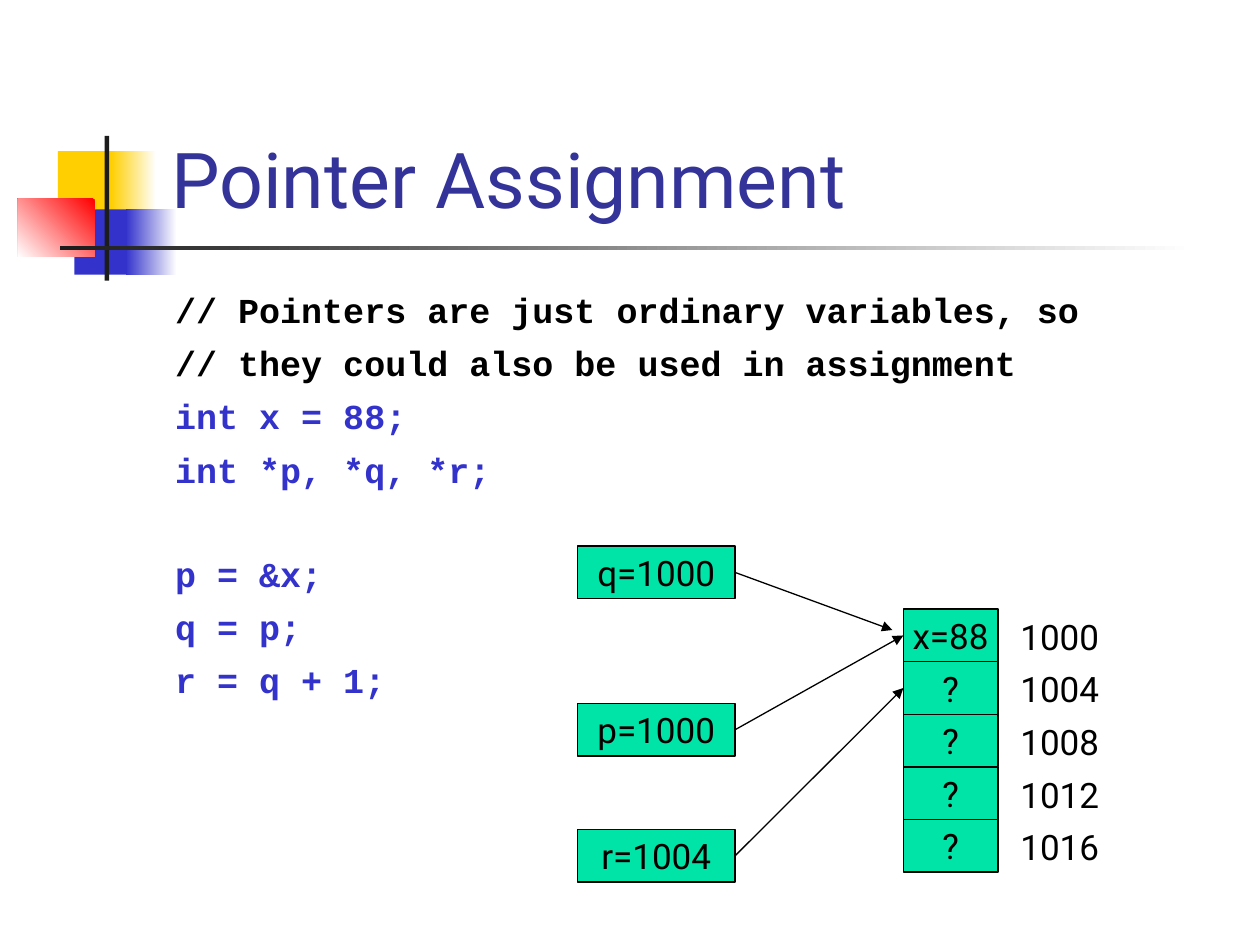
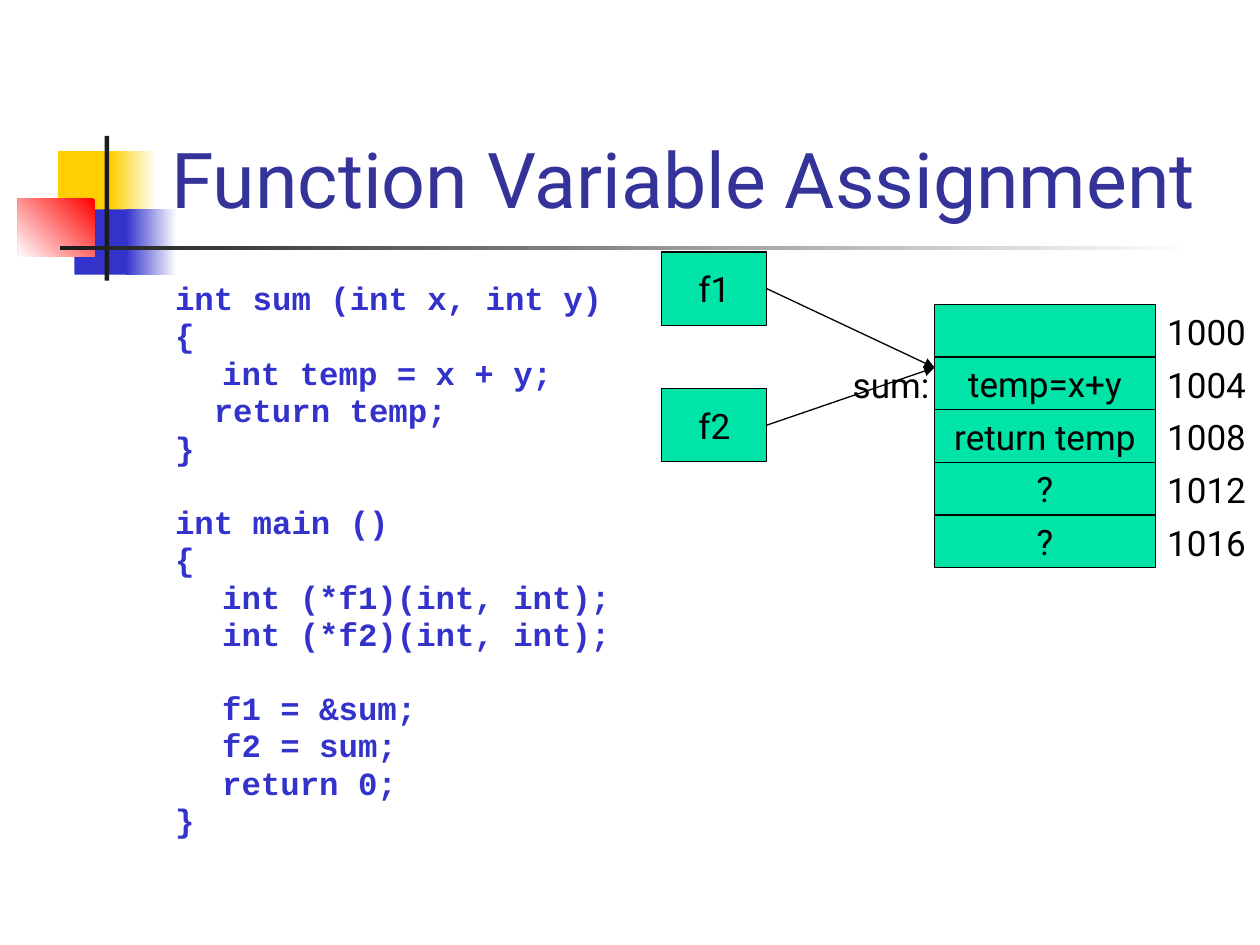
from dataclasses import dataclass

from lxml.etree import SubElement
from pptx import Presentation
from pptx.dml.color import RGBColor
from pptx.enum.shapes import MSO_CONNECTOR, MSO_SHAPE
from pptx.enum.text import MSO_ANCHOR, PP_ALIGN
from pptx.oxml.ns import qn
from pptx.util import Cm, Pt

LEFT_SIDE, RIGHT_SIDE = 1, 3


@dataclass(frozen=True)
class Theme:
    font: str = "Roboto"
    code_font: str = "Courier New"
    title_size: float = 44
    label_size: float = 20
    line_width: float = 0.75
    title: str = "333399"
    code: str = "3333CC"
    ink: str = "000000"
    paper: str = "FFFFFF"
    box: str = "00E4A8"
    yellow: str = "FFCF01"
    blue: str = "3333CC"
    red: str = "FF0000"
    dark: str = "1C1C1C"


THEME = Theme()
ROW_HEIGHT = 1.06
TAB = 0.95
TWO_LETTERS = 0.78
ADDRESSES = ["1000", "1004", "1008", "1012", "1016"]

# left, top, width, height in cm, then one colour or the two ends and angle of a fade
DECORATION = [
    ((1.17, 3.05, 1.22, 1.32), (THEME.yellow,)),
    ((2.24, 3.05, 0.91, 1.32), (THEME.paper, THEME.yellow, 180)),
    ((1.5, 4.22, 1.17, 1.32), (THEME.blue,)),
    ((2.54, 4.22, 1.02, 1.32), (THEME.paper, THEME.blue, 180)),
    ((0.36, 4.01, 1.55, 1.17), (THEME.red, THEME.paper, 225)),
    ((2.11, 2.74, 0.09, 2.92), (THEME.dark,)),
    ((1.22, 4.95, 22.86, 0.09), (THEME.paper, THEME.dark, 180)),
]

# Each block is a list of (text, indent in cm, colour)
POINTER_CODE = [
    [
        ("// Pointers are just ordinary variables, so", 0, THEME.ink),
        ("// they could also be used in assignment", 0, THEME.ink),
        ("int x = 88;", 0, THEME.code),
        ("int *p, *q, *r;", 0, THEME.code),
    ],
    [(text, 0, THEME.code) for text in ("p = &x;", "q = p;", "r = q + 1;")],
]
FUNCTION_CODE = [
    [
        ("int sum (int x, int y)", 0, THEME.code),
        ("{", 0, THEME.code),
        ("int temp = x + y;", TAB, THEME.code),
        ("return temp;", TWO_LETTERS, THEME.code),
        ("}", 0, THEME.code),
    ],
    [
        ("int main ()", 0, THEME.code),
        ("{", 0, THEME.code),
        ("int (*f1)(int, int);", TAB, THEME.code),
        ("int (*f2)(int, int);", TAB, THEME.code),
    ],
    [
        ("f1 = &sum;", TAB, THEME.code),
        ("f2 = sum;", TAB, THEME.code),
        ("return 0;", TAB, THEME.code),
        ("}", 0, THEME.code),
    ],
]


def set_values(target, values):
    for name, value in values.items():
        setattr(target, name, value)


def place(area):
    return [Cm(length) for length in area]


def write(paragraph, text, size, color=THEME.ink, font=THEME.font, bold=False):
    run = paragraph.add_run()
    run.text = text
    set_values(run.font, {"name": font, "size": Pt(size), "bold": bold})
    run.font.color.rgb = RGBColor.from_string(color)


def add_rectangle(slide, area, colors):
    """Add a borderless rectangle with a plain fill or a two-colour fade."""
    shape = slide.shapes.add_shape(MSO_SHAPE.RECTANGLE, *place(area))
    shape.shadow.inherit = False
    shape.line.fill.background()
    if len(colors) == 1:
        shape.fill.solid()
        shape.fill.fore_color.rgb = RGBColor.from_string(colors[0])
    else:
        *ends, angle = colors
        shape.fill.gradient()
        shape.fill.gradient_angle = angle
        for stop, color, position in zip(shape.fill.gradient_stops, ends, (0, 1)):
            stop.color.rgb = RGBColor.from_string(color)
            stop.position = position
    return shape


def add_text_frame(slide, area, **values):
    frame = slide.shapes.add_textbox(*place(area)).text_frame
    set_values(frame, {"word_wrap": True, **values})
    return frame


def add_titled_slide(presentation, title):
    slide = presentation.slides.add_slide(presentation.slide_layouts[6])
    for area, colors in DECORATION:
        add_rectangle(slide, area, colors)
    frame = add_text_frame(
        slide, (3.2, 0.58, 21.64, 4.06), vertical_anchor=MSO_ANCHOR.BOTTOM
    )
    write(frame.paragraphs[0], title, THEME.title_size, THEME.title)
    return slide


def add_code(slide, blocks, size, spacing, line_spacing, pitch):
    """Write blocks of code; one line of space parts each block from the last."""
    frame = add_text_frame(slide, (3.28, 5.69, 21.59, 11.43))
    paragraph = frame.paragraphs[0]
    for block_index, block in enumerate(blocks):
        for line_index, (text, indent, color) in enumerate(block):
            starts_block = line_index == 0 and block_index > 0
            if block_index or line_index:
                paragraph = frame.add_paragraph()
            before = spacing + pitch if starts_block else spacing
            set_values(
                paragraph,
                {"space_before": Pt(before), "line_spacing": line_spacing},
            )
            paragraph._p.get_or_add_pPr().set("marL", str(Cm(indent)))
            write(paragraph, text, size, color, THEME.code_font, bold=True)


def add_box(slide, area, text):
    shape = add_rectangle(slide, area, (THEME.box,))
    shape.line.color.rgb = RGBColor.from_string(THEME.ink)
    shape.line.width = Pt(THEME.line_width)
    if text:
        frame = shape.text_frame
        set_values(frame, {"word_wrap": False, "vertical_anchor": MSO_ANCHOR.MIDDLE})
        frame.paragraphs[0].alignment = PP_ALIGN.CENTER
        write(frame.paragraphs[0], text, THEME.label_size)
    return shape


def add_label(slide, left, top, width, text):
    frame = add_text_frame(slide, (left, top, width, 1.12), margin_right=0)
    write(frame.paragraphs[0], text, THEME.label_size)


def add_memory(slide, left, top, width, contents, label_left):
    """Stack one cell per value, with its address at the right."""
    cells = []
    for row, (text, address) in enumerate(zip(contents, ADDRESSES)):
        row_top = top + row * ROW_HEIGHT
        cells.append(add_box(slide, (left, row_top, width, ROW_HEIGHT), text))
        add_label(slide, label_left, row_top, 2.12, address)
    return cells


def add_arrow(slide, source, target=None, point=(0, 0)):
    """Draw an arrow from a box to the left side of a cell, or to a point in cm."""
    end_x, end_y = place(point)
    connector = slide.shapes.add_connector(
        MSO_CONNECTOR.STRAIGHT, source.left, source.top, end_x, end_y
    )
    connector.begin_connect(source, RIGHT_SIDE)
    if target is not None:
        connector.end_connect(target, LEFT_SIDE)
    connector.line.color.rgb = RGBColor.from_string(THEME.ink)
    connector.line.width = Pt(THEME.line_width)
    SubElement(connector.line._get_or_add_ln(), qn("a:tailEnd"), type="triangle")
    SubElement(connector._element.spPr, qn("a:effectLst"))


def build_pointer_slide(presentation):
    slide = add_titled_slide(presentation, "Pointer Assignment")
    add_code(slide, POINTER_CODE, size=20, spacing=6.4, line_spacing=1.0, pitch=29)
    cells = add_memory(slide, 18.21, 12.28, 1.91, ["x=88", "?", "?", "?", "?"], 20.32)
    pointers = [
        ("q=1000", 11.01, {"point": (17.99, 12.7)}),
        ("p=1000", 14.18, {"target": cells[0]}),
        ("r=1004", 16.72, {"target": cells[1]}),
    ]
    for text, top, goal in pointers:
        box = add_box(slide, (11.64, top, 3.18, ROW_HEIGHT), text)
        add_arrow(slide, box, **goal)


def build_function_slide(presentation):
    slide = add_titled_slide(presentation, "Function Variable Assignment")
    add_code(
        slide, FUNCTION_CODE, size=18.5, spacing=5.9, line_spacing=0.7, pitch=20.6
    )
    memory_left, memory_top = 18.84, 6.14
    contents = ["", "temp=x+y", "return temp", "?", "?"]
    add_memory(slide, memory_left, memory_top, 4.45, contents, 23.28)
    add_label(slide, 16.94, memory_top + ROW_HEIGHT, 2.12, "sum:")
    for text, top in (("f1", 5.08), ("f2", 7.83)):
        box = add_box(slide, (13.34, top, 2.12, 1.48), text)
        add_arrow(slide, box, point=(memory_left, 7.41))


def main():
    presentation = Presentation()
    set_values(presentation, {"slide_width": Cm(25.4), "slide_height": Cm(19.05)})
    build_pointer_slide(presentation)
    build_function_slide(presentation)
    presentation.save("out.pptx")


if __name__ == "__main__":
    main()
